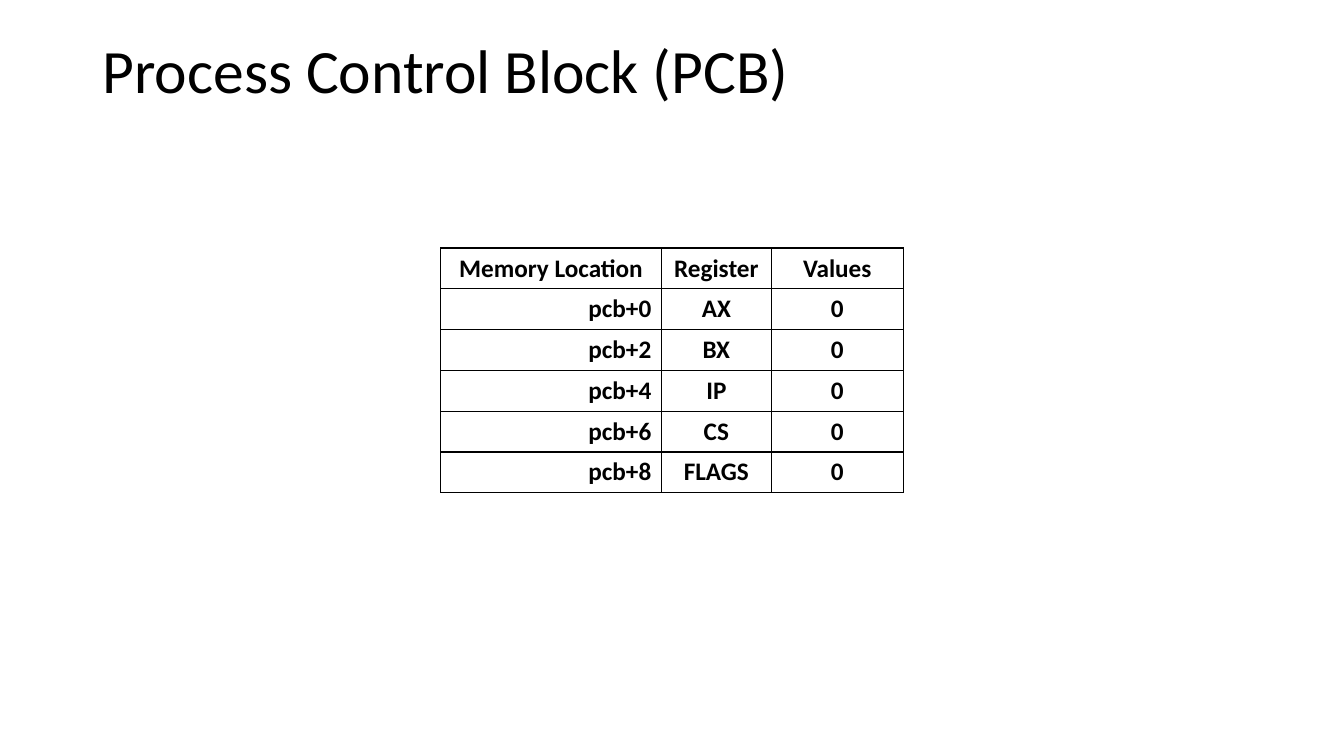
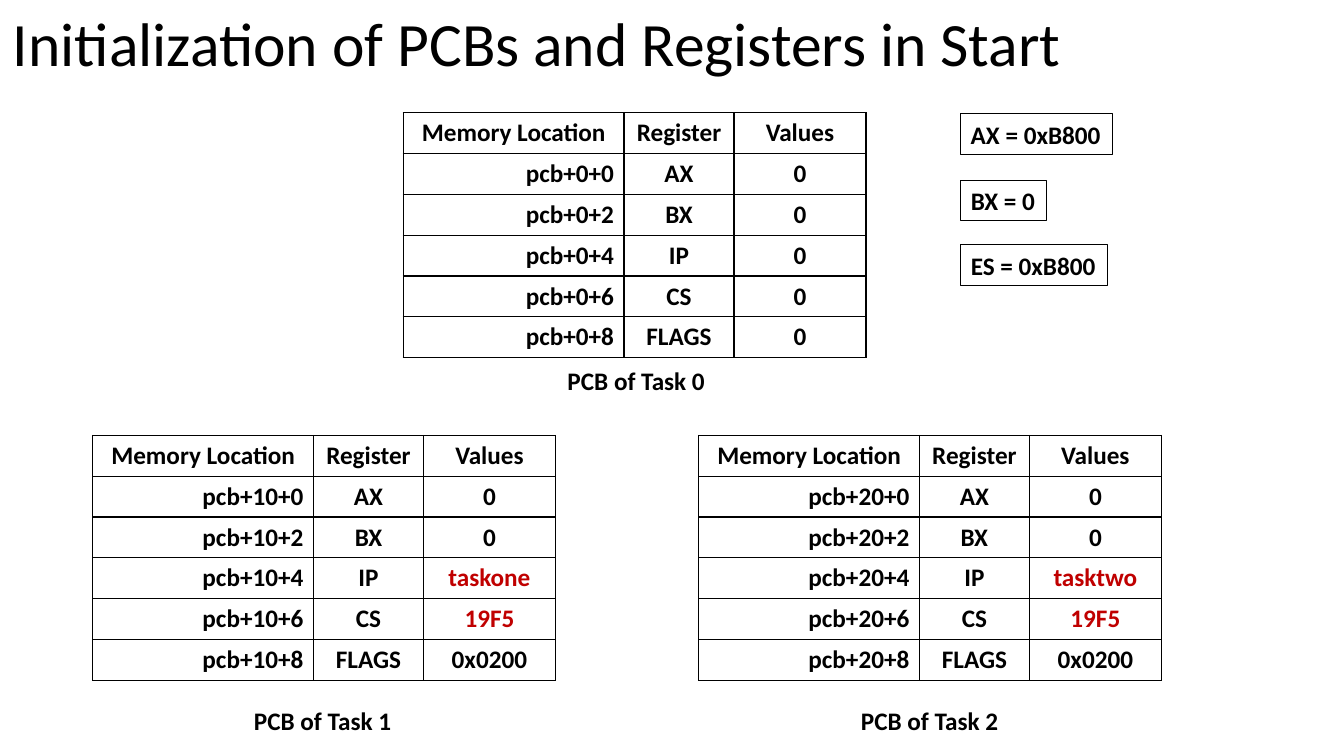
from pptx import Presentation
from pptx.dml.color import RGBColor
from pptx.enum.shapes import MSO_SHAPE
from pptx.enum.text import MSO_ANCHOR, MSO_AUTO_SIZE, PP_ALIGN
from pptx.oxml import parse_xml
from pptx.oxml.ns import nsdecls
from pptx.util import Inches, Pt

COLORS = {"text": "000000", "line": "000000", "paper": "FFFFFF", "changed": "C00000"}
FONT = "Calibri"
HEADERS = ["Memory Location", "Register", "Values"]
REGISTERS = ["AX", "BX", "IP", "CS", "FLAGS"]
COLUMN_WIDTHS = [2.19, 1.09, 1.31]
TABLE_HEIGHT = 2.43
LABEL_HEIGHT = 0.4


def write_text(frame, text, size=18, bold=True, color="text", align=PP_ALIGN.LEFT, spacing=1.0):
    para = frame.paragraphs[0]
    para.alignment = align
    para.line_spacing = spacing
    span = para.add_run()
    span.text = text
    span.font.name = FONT
    span.font.size = Pt(size)
    span.font.bold = bold
    span.font.color.rgb = RGBColor.from_string(COLORS[color])


def add_pcb_table(page, left, top, base, values):
    rows = [HEADERS]
    for index, (register, value) in enumerate(zip(REGISTERS, values)):
        rows.append([f"{base}+{2 * index}", register, value])
    table = page.shapes.add_table(
        len(rows), len(HEADERS), Inches(left), Inches(top),
        Inches(sum(COLUMN_WIDTHS)), Inches(TABLE_HEIGHT),
    ).table
    for column, width in zip(table.columns, COLUMN_WIDTHS):
        column.width = Inches(width)
    for row_index, row in enumerate(rows):
        table.rows[row_index].height = Inches(TABLE_HEIGHT / len(rows))
        for column_index, text in enumerate(row):
            cell = table.cell(row_index, column_index)
            cell.fill.solid()
            cell.fill.fore_color.rgb = RGBColor.from_string(COLORS["paper"])
            is_location = row_index > 0 and column_index == 0
            write_text(
                cell.text_frame, text,
                color="changed" if text in ("taskone", "tasktwo", "19F5") else "text",
                align=PP_ALIGN.RIGHT if is_location else PP_ALIGN.CENTER,
            )
            properties = cell._tc.get_or_add_tcPr()
            for position, side in enumerate(["lnL", "lnR", "lnT", "lnB"]):
                border = parse_xml(
                    f'<a:{side} {nsdecls("a")} w="{Pt(1)}"><a:solidFill>'
                    f'<a:srgbClr val="{COLORS["line"]}"/></a:solidFill></a:{side}>'
                )
                properties.insert(position, border)


deck = Presentation()
deck.slide_width = Inches(13.33)
deck.slide_height = Inches(7.5)

titles = [
    ("Process Control Block (PCB)", 0.92, 0, 1.45),
    ("Initialization of PCBs and Registers in Start", 0.03, -0.01, 0.94),
]
pages = []
for title, left, top, height in titles:
    page = deck.slides.add_slide(deck.slide_layouts[6])
    box = page.shapes.add_textbox(Inches(left), Inches(top), Inches(11.5), Inches(height))
    box.text_frame.word_wrap = True
    box.text_frame.vertical_anchor = MSO_ANCHOR.MIDDLE
    write_text(box.text_frame, title, size=44, bold=False, spacing=0.9)
    pages.append(page)
block_page, start_page = pages

zeros = ["0"] * len(REGISTERS)
add_pcb_table(block_page, 4.37, 2.46, "pcb", zeros)

tasks = [
    (4, 1.12, zeros, 5.53, 3.58),
    (0.92, 4.32, ["0", "0", "taskone", "19F5", "0x0200"], 2.42, 6.95),
    (6.93, 4.32, ["0", "0", "tasktwo", "19F5", "0x0200"], 8.44, 6.95),
]
for number, (left, top, values, caption_left, caption_top) in enumerate(tasks):
    add_pcb_table(start_page, left, top, f"pcb+{10 * number}", values)
    caption = start_page.shapes.add_textbox(
        Inches(caption_left), Inches(caption_top), Inches(1.58), Inches(LABEL_HEIGHT)
    )
    caption.text_frame.word_wrap = False
    caption.text_frame.auto_size = MSO_AUTO_SIZE.SHAPE_TO_FIT_TEXT
    write_text(caption.text_frame, f"PCB of Task {number}")

register_boxes = [("AX = 0xB800", 1.13, 1.5), ("BX = 0", 1.79, 0.85), ("ES = 0xB800", 2.43, 1.45)]
for text, top, width in register_boxes:
    box = start_page.shapes.add_shape(
        MSO_SHAPE.RECTANGLE, Inches(9.53), Inches(top), Inches(width), Inches(LABEL_HEIGHT)
    )
    box.shadow.inherit = False
    box.fill.background()
    box.line.color.rgb = RGBColor.from_string(COLORS["line"])
    box.line.width = Pt(0.75)
    box.text_frame.word_wrap = False
    box.text_frame.auto_size = MSO_AUTO_SIZE.SHAPE_TO_FIT_TEXT
    box.text_frame.vertical_anchor = MSO_ANCHOR.TOP
    write_text(box.text_frame, text)

deck.save("out.pptx")
